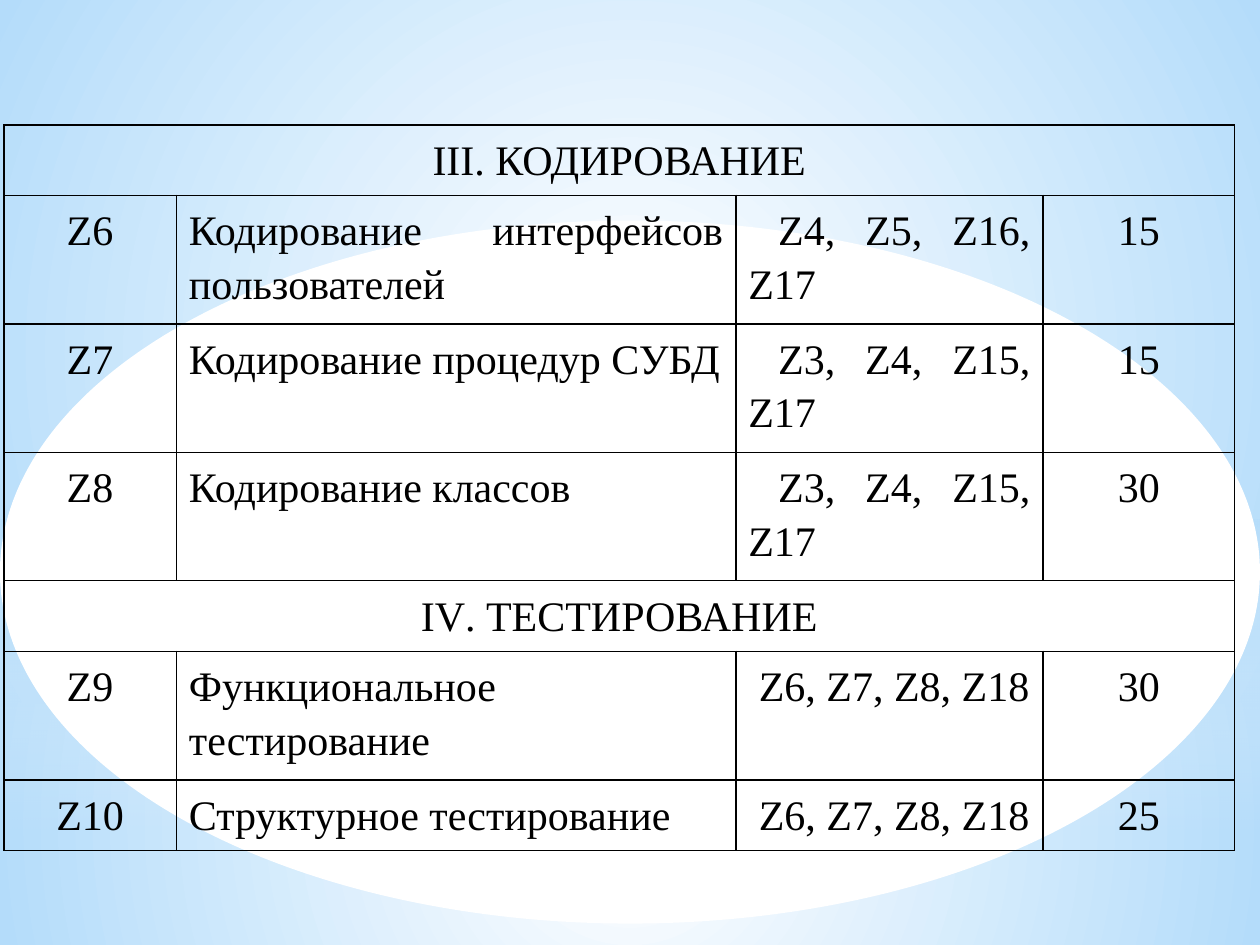
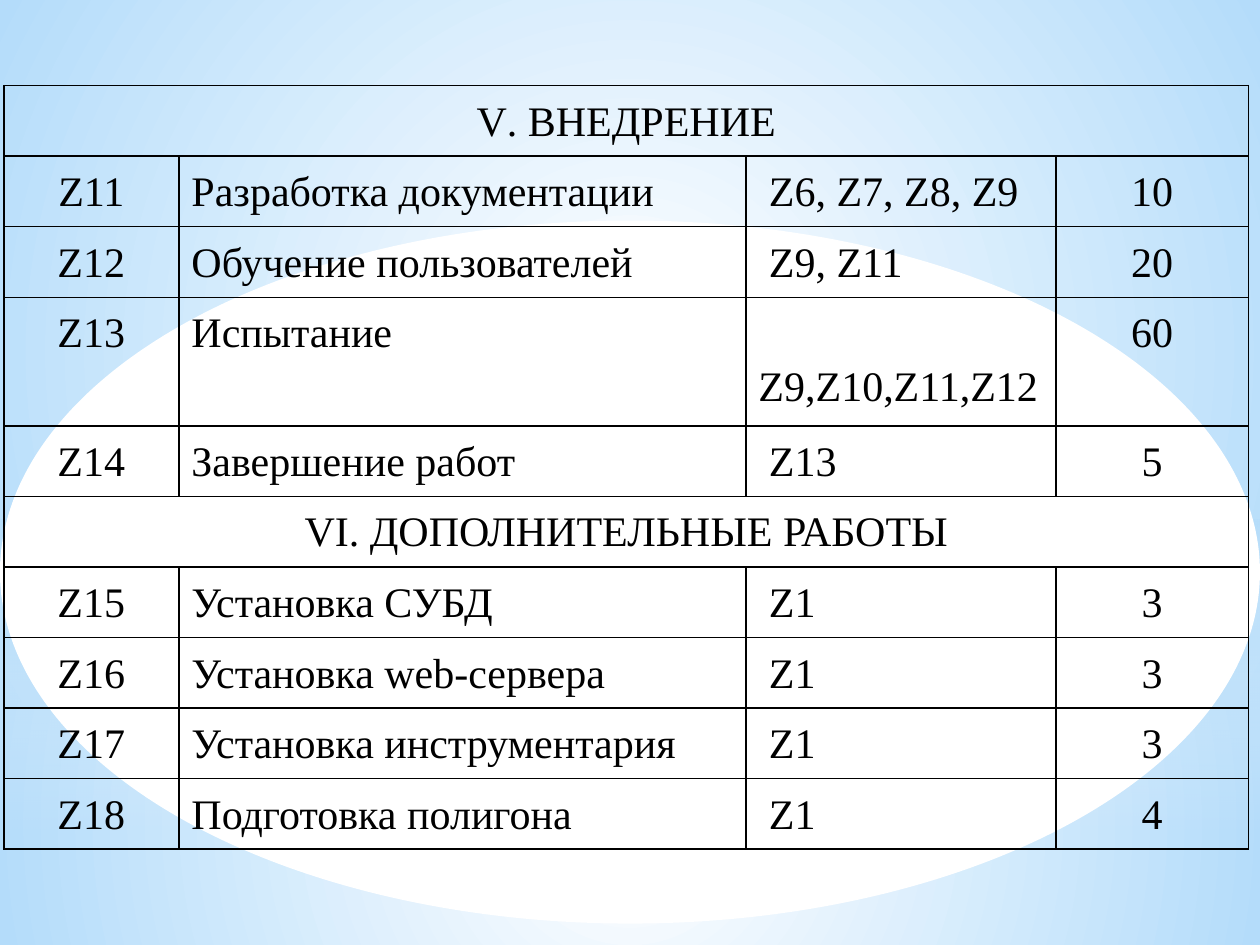
from lxml import etree
from pptx import Presentation
from pptx.dml.color import RGBColor
from pptx.enum.lang import MSO_LANGUAGE_ID as Language
from pptx.enum.shapes import MSO_SHAPE as Preset
from pptx.enum.text import PP_ALIGN as Align
from pptx.oxml import parse_xml
from pptx.oxml.ns import nsdecls, qn
from pptx.util import Inches, Pt

WIDTH, HEIGHT = 10, 7.5
HORIZON = 5.58
LINE_ROW, DOUBLE_ROW = 0.56, 1.02
WHITE, BLACK, SKY = "FFFFFF", "000000", "B4DCFA"
CENTRE = (50, 50, 50, 50)
CELL_FONT = {"name": "Times New Roman", "size": Pt(24)}
COLUMN_ALIGNS = [Align.CENTER, Align.JUSTIFY, Align.JUSTIFY, Align.CENTER]

# A row of two texts is a stage heading: Roman number and title.
CODING_AND_TESTING = [
    ("III", ". КОДИРОВАНИЕ"),
    ("Z6", "Кодирование интерфейсов пользователей", " Z4, Z5, Z16, Z17", "15"),
    ("Z7", "Кодирование процедур СУБД", " Z3, Z4, Z15, Z17", "15"),
    ("Z8", "Кодирование классов", " Z3, Z4, Z15, Z17", "30"),
    ("IV", ". ТЕСТИРОВАНИЕ"),
    ("Z9", "Функциональное тестирование", " Z6, Z7, Z8, Z18", "30"),
    ("Z10", "Структурное тестирование", " Z6, Z7, Z8, Z18", "25"),
]
ROLLOUT_AND_EXTRAS = [
    ("V", ". ВНЕДРЕНИЕ"),
    ("Z11", "Разработка документации", " Z6, Z7, Z8, Z9", "10"),
    ("Z12", "Обучение пользователей", " Z9, Z11", "20"),
    ("Z13", "Испытание", " Z9,Z10,Z11,Z12", "60"),
    ("Z14", "Завершение работ", " Z13", "5"),
    ("VI", ". ДОПОЛНИТЕЛЬНЫЕ РАБОТЫ"),
    ("Z15", "Установка СУБД", " Z1", "3"),
    ("Z16", "Установка web-сервера", " Z1", "3"),
    ("Z17", "Установка инструментария", " Z1", "3"),
    ("Z18", "Подготовка полигона", " Z1", "4"),
]
TWO_LINE_WORKS = {"Z6", "Z7", "Z8", "Z9", "Z13"}


def color(code):
    return RGBColor.from_string(code)


def set_gradient(owner, fill, stops, focus=None):
    """Fill with (position, colour, opacity) stops, round the focus or downwards."""
    fill.gradient()
    gradient = owner.element.find(".//" + qn("a:gradFill"))
    for child in list(gradient):
        gradient.remove(child)
    stop_list = etree.SubElement(gradient, qn("a:gsLst"))
    for position, code, opacity in stops:
        stop = etree.SubElement(stop_list, qn("a:gs"), pos=str(position * 1000))
        tint = etree.SubElement(stop, qn("a:srgbClr"), val=code)
        if opacity < 100:
            etree.SubElement(tint, qn("a:alpha"), val=str(opacity * 1000))
    if focus:
        route = etree.SubElement(gradient, qn("a:path"), path="circle")
        edges = {side: str(share * 1000) for side, share in zip("ltrb", focus)}
        etree.SubElement(route, qn("a:fillToRect"), edges)
    else:
        etree.SubElement(gradient, qn("a:lin"), ang=str(90 * 60000), scaled="0")


def add_area(slide, preset, top, height):
    """Add a full-width shape without line or shadow."""
    area = slide.shapes.add_shape(preset, 0, Inches(top), Inches(WIDTH), Inches(height))
    area.shadow.inherit = False
    area.line.fill.background()
    return area


def add_backdrop(slide):
    set_gradient(slide, slide.background.fill,
                 [(0, "9CD4FF", 100), (100, "5BB9FF", 100)], (50, 10, 50, 90))
    for top, bottom in [(HORIZON, HEIGHT), (0, HORIZON)]:
        panel = add_area(slide, Preset.RECTANGLE, top, bottom - top)
        set_gradient(panel, panel.fill, [(0, WHITE, 100), (100, SKY, 100)], CENTRE)
    haze = add_area(slide, Preset.RECTANGLE, 4.12, 2.5)
    set_gradient(haze, haze.fill, [(0, SKY, 60), (100, WHITE, 0)])
    glow = add_area(slide, Preset.OVAL, 1.75, HORIZON)
    glow.fill.solid()
    glow.fill.fore_color.rgb = color(WHITE)


def format_cell(cell):
    cell.fill.background()
    properties = cell._tc.get_or_add_tcPr()
    for index, side in enumerate(["lnL", "lnR", "lnT", "lnB"]):
        border = parse_xml(
            f'<a:{side} {nsdecls("a")} w="{Pt(0.96)}"><a:solidFill>'
            f'<a:srgbClr val="{BLACK}"/></a:solidFill></a:{side}>')
        properties.insert(index, border)


def write_cell(cell, align, *texts):
    """Write one paragraph; of two texts the first is a Latin-script number."""
    para = cell.text_frame.paragraphs[0]
    para.alignment = align
    para.line_spacing = 1.15
    languages = [Language.ENGLISH_US, Language.RUSSIAN][-len(texts):]
    for text, language in zip(texts, languages):
        span = para.add_run()
        span.text = text
        for name, value in {**CELL_FONT, "language_id": language}.items():
            setattr(span.font, name, value)
        span.font.color.rgb = color(BLACK)


def add_work_table(slide, works, top, widths):
    heights = [DOUBLE_ROW if work[0] in TWO_LINE_WORKS else LINE_ROW for work in works]
    frame = slide.shapes.add_table(len(works), len(widths), Inches(0.03), Inches(top),
                                   Inches(sum(widths)), Inches(sum(heights)))
    table = frame.table
    table.first_row = table.horz_banding = False
    for column, width in zip(table.columns, widths):
        column.width = Inches(width)
    for row, height, work in zip(table.rows, heights, works):
        row.height = Inches(height)
        cells = list(row.cells)
        for cell in cells:
            format_cell(cell)
        if len(work) == 2:
            cells[0].merge(cells[-1])
            write_cell(cells[0], Align.CENTER, *work)
        else:
            for cell, align, text in zip(cells, COLUMN_ALIGNS, work):
                write_cell(cell, align, text)


def main():
    deck = Presentation()
    deck.slide_width, deck.slide_height = Inches(WIDTH), Inches(HEIGHT)
    pages = [
        (CODING_AND_TESTING, 0.99, [1.37, 4.44, 2.44, 1.52]),
        (ROLLOUT_AND_EXTRAS, 0.68, [1.39, 4.5, 2.46, 1.53]),
    ]
    for works, top, widths in pages:
        page = deck.slides.add_slide(deck.slide_layouts[6])
        add_backdrop(page)
        add_work_table(page, works, top, widths)
    deck.save("out.pptx")


if __name__ == "__main__":
    main()
